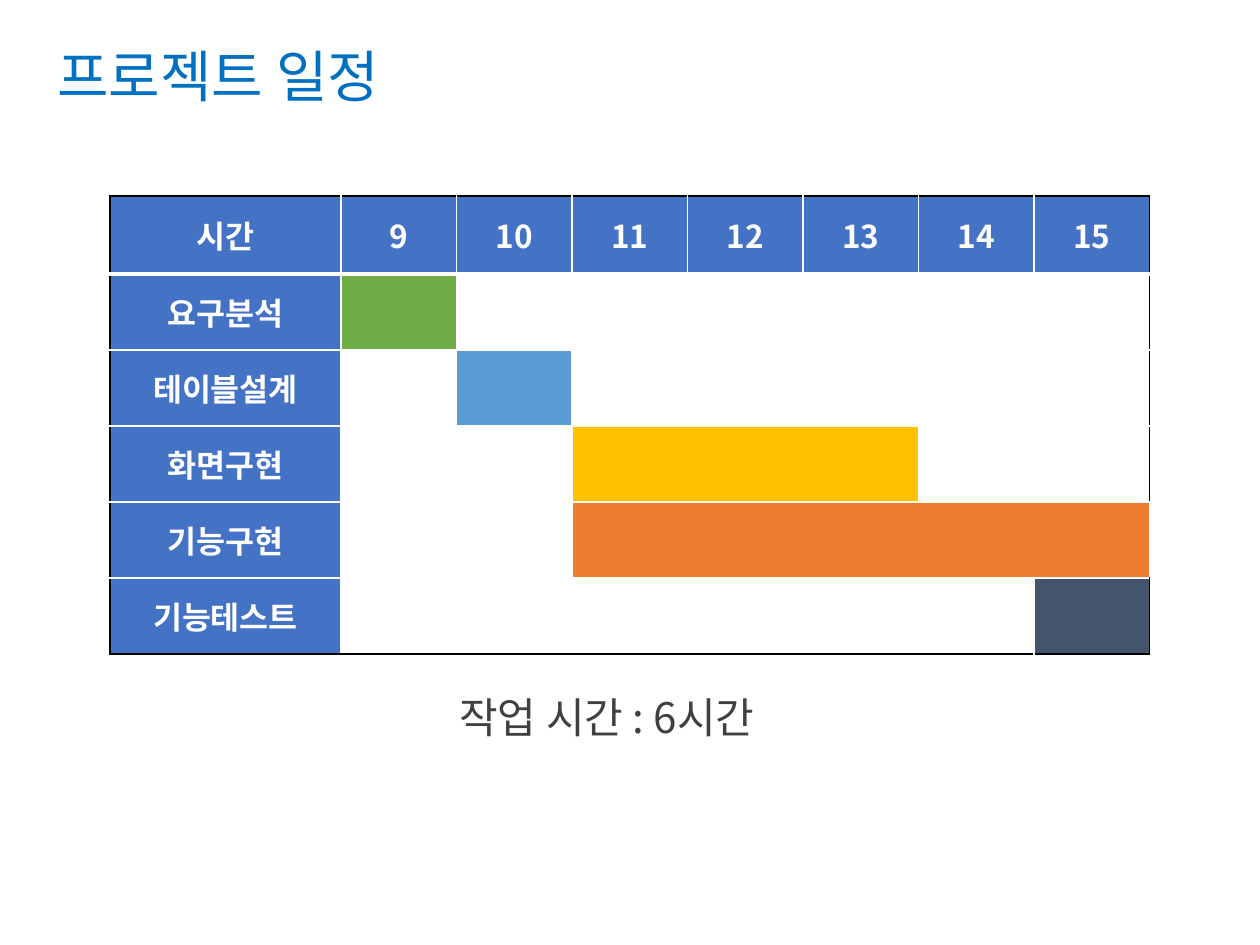
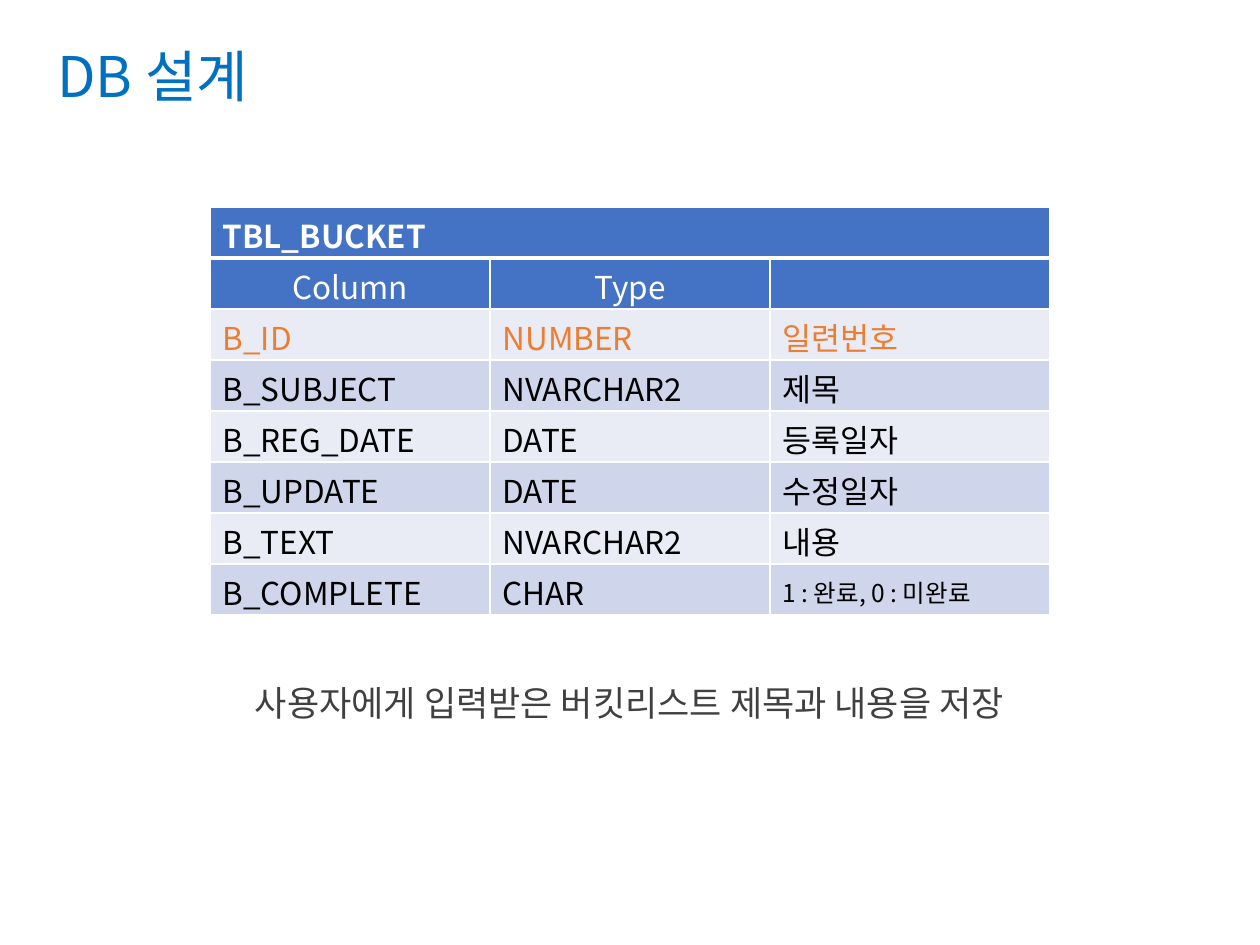
"""Build a project schedule slide and a database design slide."""
from dataclasses import dataclass

from lxml.etree import SubElement
from pptx import Presentation
from pptx.dml.color import RGBColor as RGB
from pptx.enum.text import MSO_ANCHOR as ANCHOR, PP_ALIGN as ALIGN
from pptx.oxml.ns import qn
from pptx.util import Pt

EMU_PER_PX = 914400 / 126


@dataclass(frozen=True)
class Theme:
    font: str = "Noto Sans CJK KR"
    title: str = "0070C0"
    caption: str = "404040"
    header: str = "4472C4"
    white: str = "FFFFFF"
    black: str = "000000"
    green: str = "70AD47"
    sky: str = "5B9BD5"
    yellow: str = "FFC000"
    orange: str = "ED7D31"
    slate: str = "44546A"
    bands: tuple = ("E9EBF5", "CFD5EA")
    title_size: int = 32
    schedule_note_size: int = 24
    design_note_size: int = 20
    cell_size: int = 18
    small_size: int = 14


T = Theme()

HOURS = range(9, 16)
TASKS = [
    ("요구분석", 9, 9, T.green),
    ("테이블설계", 10, 10, T.sky),
    ("화면구현", 11, 13, T.yellow),
    ("기능구현", 11, 15, T.orange),
    ("기능테스트", 15, 15, T.slate),
]
MERGED_GAPS = [(1, 2, 5), (5, 1, 6)]
DB_COLUMNS = [
    ("B_ID", "NUMBER", "일련번호"),
    ("B_SUBJECT", "NVARCHAR2", "제목"),
    ("B_REG_DATE", "DATE", "등록일자"),
    ("B_UPDATE", "DATE", "수정일자"),
    ("B_TEXT", "NVARCHAR2", "내용"),
    ("B_COMPLETE", "CHAR", "1 : 완료, 0 : 미완료"),
]


def px(n):
    """Turn pixels into EMU."""
    return round(n * EMU_PER_PX)


def write(tf, text, size, color, bold=False, align=ALIGN.LEFT):
    """Put one styled paragraph into a text frame."""
    p = tf.paragraphs[0]
    p.text = text
    p.alignment = align
    font = p.font
    font.size, font.bold, font.name = Pt(size), bold, T.font
    font.color.rgb = RGB.from_string(color)
    SubElement(p._p.pPr.find(qn("a:defRPr")), qn("a:ea"), typeface=T.font)
    return p


def add_text(s, box, text, size, color, align=ALIGN.LEFT):
    """Add a wrapped text box centred on its height."""
    tf = s.shapes.add_textbox(*map(px, box)).text_frame
    tf.word_wrap = True
    tf.vertical_anchor = ANCHOR.MIDDLE
    return write(tf, text, size, color, align=align)


def add_titled_slide(prs, title):
    """Add a blank slide with the shared title."""
    s = prs.slides.add_slide(prs.slide_layouts[6])
    p = add_text(s, (45, 38, 1215, 81), title, T.title_size, T.title)
    p.line_spacing = 0.94
    return s


def set_border(cell, side, color, width):
    """Draw one side of a cell: L, R, T or B."""
    ln = SubElement(cell._tc.get_or_add_tcPr(), qn(f"a:ln{side}"), w=str(Pt(width)))
    SubElement(SubElement(ln, qn("a:solidFill")), qn("a:srgbClr"), val=color)


def add_grid(s, box, widths, heights, outline):
    """Add a table with white rules, a thick rule under row 0 and an outline."""
    table = s.shapes.add_table(len(heights), len(widths), *map(px, box)).table
    table.first_row = table.horz_banding = False
    for col, width in zip(table.columns, widths):
        col.width = px(width)
    for row, height in zip(table.rows, heights):
        row.height = px(height)
    last_row, last_col = len(heights) - 1, len(widths) - 1
    for r in range(len(heights)):
        for c in range(len(widths)):
            cell = table.cell(r, c)
            for side, outer, width in (("L", c == 0, 1), ("R", c == last_col, 1),
                                       ("T", r == 0, 3 if r == 1 else 1),
                                       ("B", r == last_row, 3 if r == 0 else 1)):
                set_border(cell, side, outline if outer else T.white, width)
    return table


def fill_cell(cell, fill, text="", color=T.white, size=T.cell_size,
              bold=False, align=ALIGN.LEFT):
    """Colour a cell and write its text, if any."""
    cell.fill.solid()
    cell.fill.fore_color.rgb = RGB.from_string(fill)
    cell.vertical_anchor = ANCHOR.MIDDLE
    if text:
        write(cell.text_frame, text, size, color, bold, align)


def build_schedule(prs):
    """Build the project schedule slide."""
    s = add_titled_slide(prs, "프로젝트 일정")
    hour_width = (1040 - 231) / len(HOURS)
    table = add_grid(s, (110, 196, 1040, 457), [231] + [hour_width] * len(HOURS),
                     [78] + [76] * len(TASKS), T.black)
    for c, text in enumerate(["시간", *map(str, HOURS)]):
        fill_cell(table.cell(0, c), T.header, text, bold=True, align=ALIGN.CENTER)
    for r, (task, start, end, color) in enumerate(TASKS, 1):
        fill_cell(table.cell(r, 0), T.header, task, bold=True, align=ALIGN.CENTER)
        for c, hour in enumerate(HOURS, 1):
            fill_cell(table.cell(r, c), color if start <= hour <= end else T.white)
        if end > start:
            first = HOURS.index(start) + 1
            table.cell(r, first).merge(table.cell(r, first + end - start))
    for r, first, last in MERGED_GAPS:
        table.cell(r, first).merge(table.cell(r, last))
    add_text(s, (447, 685, 364, 63), "작업 시간 : 6시간", T.schedule_note_size, T.caption)


def build_db_design(prs):
    """Build the database design slide."""
    s = add_titled_slide(prs, "DB 설계")
    table = add_grid(s, (210, 207, 840, 408), [280] * 3,
                     [51] * (len(DB_COLUMNS) + 2), T.white)
    for cell in table.iter_cells():
        cell.margin_top, cell.margin_bottom = px(5), 0
    for c, text in enumerate(("TBL_BUCKET", "", "")):
        fill_cell(table.cell(0, c), T.header, text, bold=True)
    table.cell(0, 0).merge(table.cell(0, 2))
    for c, text in enumerate(("Column", "Type", "")):
        fill_cell(table.cell(1, c), T.header, text, align=ALIGN.CENTER)
    for i, fields in enumerate(DB_COLUMNS):
        color = T.orange if i == 0 else T.black
        for c, text in enumerate(fields):
            size = T.small_size if text.startswith("1 :") else T.cell_size
            fill_cell(table.cell(i + 2, c), T.bands[i % 2], text, color, size)
    add_text(s, (199, 675, 861, 55), "사용자에게 입력받은 버킷리스트 제목과 내용을 저장",
             T.design_note_size, T.caption, ALIGN.CENTER)


def main():
    """Build and save the presentation."""
    prs = Presentation()
    prs.slide_width, prs.slide_height = px(1260), px(945)
    build_schedule(prs)
    build_db_design(prs)
    prs.save("out.pptx")


if __name__ == "__main__":
    main()
